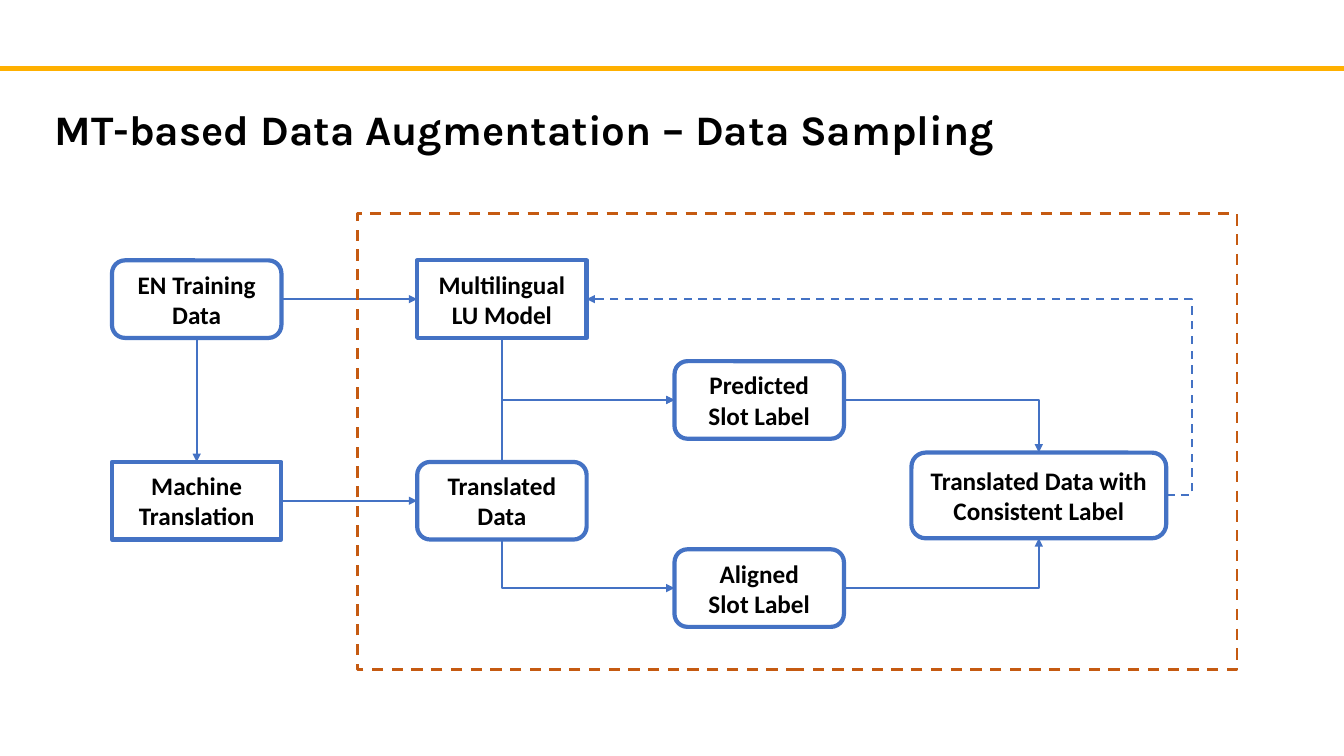
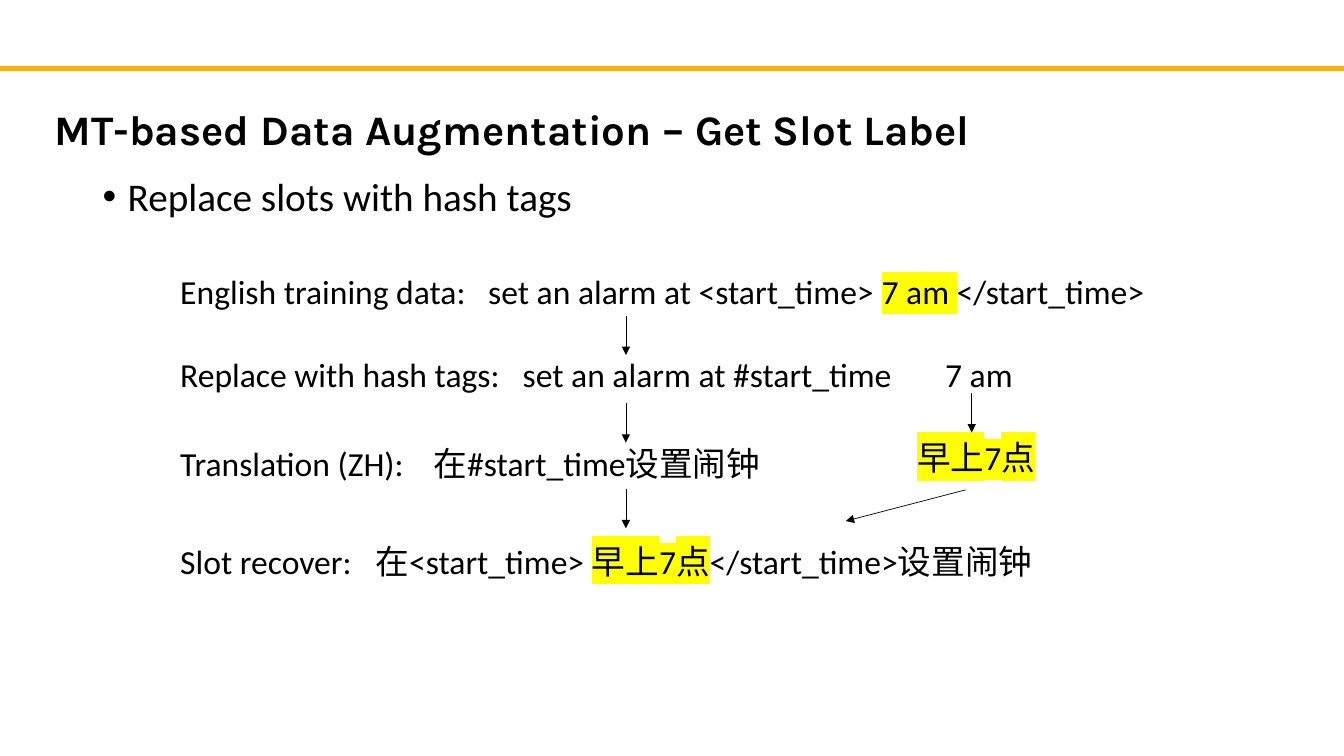
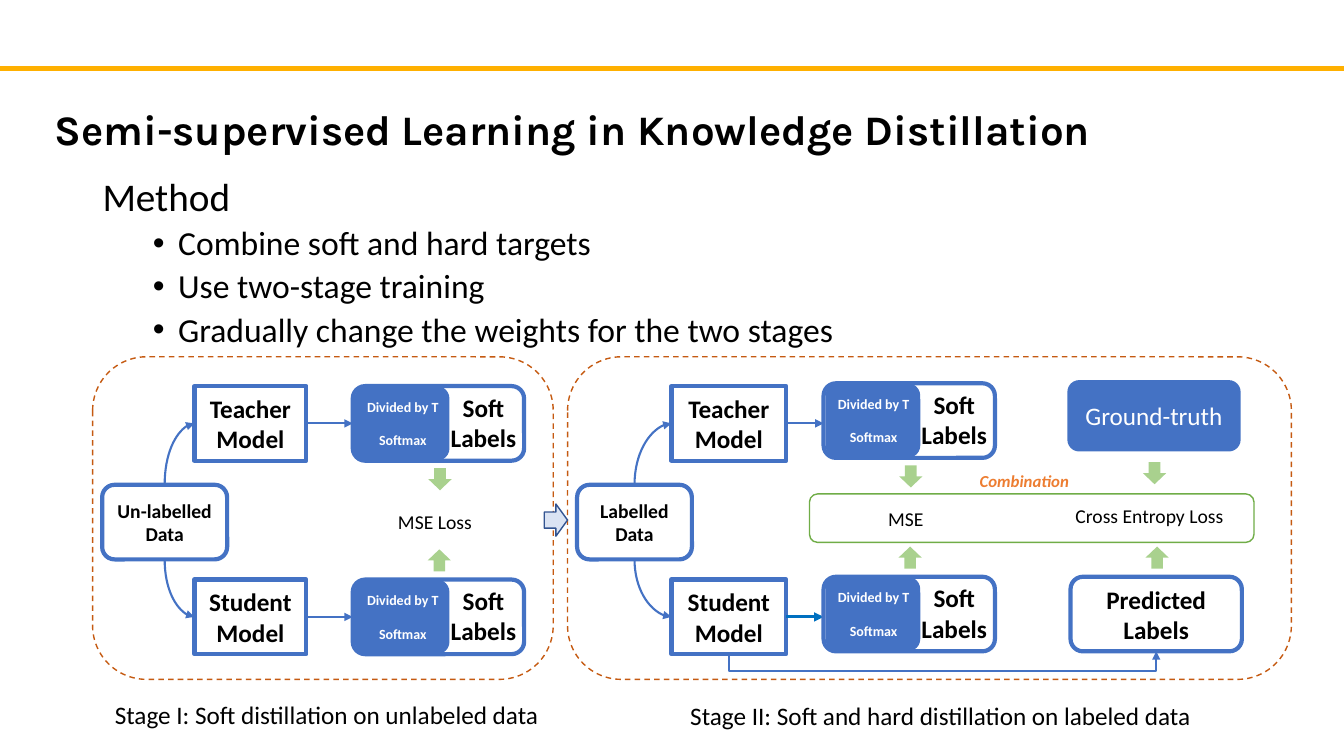
from dataclasses import dataclass

from lxml import etree
from pptx import Presentation
from pptx import util as u
from pptx.dml.color import RGBColor
from pptx.enum import dml, shapes, text
from pptx.oxml import ns

COLORS = {
    "bar": "FFB000", "ink": "000000", "paper": "FFFFFF", "blue": "4472C4",
    "strong": "0070C0", "rust": "C55A11", "orange": "ED7D31", "mark": "FFFF00",
    "leaf": "A9D18E", "green": "70AD47", "pale": "DAE3F3", "navy": "325491",
}
SHAPE = shapes.MSO_SHAPE
LEFT, CENTER = text.PP_ALIGN.LEFT, text.PP_ALIGN.CENTER
TOP, MIDDLE, BOTTOM = (text.MSO_ANCHOR.TOP, text.MSO_ANCHOR.MIDDLE,
                       text.MSO_ANCHOR.BOTTOM)


@dataclass
class Box:
    """A rectangle in points."""
    x: float
    y: float
    w: float
    h: float

    def at(self, dx, dy, w, h):
        """Return a box offset from this one's top left corner."""
        return Box(self.x + dx, self.y + dy, w, h)

    def point(self, across, down):
        """Return the point at the given fractions of width and height."""
        return self.x + self.w * across, self.y + self.h * down

    def lengths(self):
        """Return left, top, width and height as lengths."""
        return [u.Pt(value) for value in (self.x, self.y, self.w, self.h)]


def rgb(name):
    """Return the named colour."""
    return RGBColor.from_string(COLORS[name])


def write(frame, words, size=18, font="Calibri", color="ink", bold=False,
          italic=False, align=LEFT, anchor=TOP, spacing=None, before=0,
          bullet=False, indent=0, tabs=(), marked=None):
    """Append paragraphs, one per line, in the given format."""
    frame.word_wrap = True
    frame.vertical_anchor = anchor
    for line in words.split("\n"):
        para = frame.paragraphs[0]
        if para.runs:
            para = frame.add_paragraph()
        para.alignment = align
        para.space_before = u.Pt(before)
        if spacing:
            para.line_spacing = spacing
        props = para._p.get_or_add_pPr()
        if bullet:
            props.set("marL", str(u.Pt(indent)))
            props.set("indent", str(u.Pt(-18)))
            etree.SubElement(props, ns.qn("a:buFont"), typeface="Arial")
            etree.SubElement(props, ns.qn("a:buChar"), char="•")
        if tabs:
            stops = etree.SubElement(props, ns.qn("a:tabLst"))
            for stop in tabs:
                etree.SubElement(stops, ns.qn("a:tab"), pos=str(u.Pt(stop)), algn="l")
        for part in line.partition(marked) if marked else [line]:
            if not part:
                continue
            span = para.add_run()
            span.text = part
            span.font.size = u.Pt(size)
            span.font.bold = bold
            span.font.italic = italic
            span.font.color.rgb = rgb(color)
            if part == marked:
                glow = etree.SubElement(span._r.get_or_add_rPr(), ns.qn("a:highlight"))
                etree.SubElement(glow, ns.qn("a:srgbClr"), val=COLORS["mark"])
            span.font.name = font


def label(page, box, words, **style):
    """Add a text box and return its frame."""
    frame = page.shapes.add_textbox(*box.lengths()).text_frame
    write(frame, words, **style)
    return frame


def block(page, box, kind=SHAPE.ROUNDED_RECTANGLE, fill=None, line=None,
          width=3, dashed=False, turn=0, words="", **style):
    """Add a preset shape, with centred text if any."""
    shape = page.shapes.add_shape(kind, *box.lengths())
    shape.shadow.inherit = False
    shape.rotation = turn
    if fill:
        shape.fill.solid()
        shape.fill.fore_color.rgb = rgb(fill)
    else:
        shape.fill.background()
    if line:
        shape.line.color.rgb = rgb(line)
        shape.line.width = u.Pt(width)
        if dashed:
            shape.line.dash_style = dml.MSO_LINE.DASH
    else:
        shape.line.fill.background()
    if words:
        write(shape.text_frame, words, align=CENTER, anchor=MIDDLE, **style)


def node(page, box, words, kind=SHAPE.ROUNDED_RECTANGLE, size=18):
    """Add a blue outlined diagram node and return its box."""
    block(page, box, kind, line="blue", words=words, size=size, bold=True)
    return box


def link(page, start, end, preset="line", upright=False, bend=None,
         color="blue", width=1.5, dashed=False, arrow=True):
    """Connect two points; an upright link runs rightward, leaving vertically."""
    (x1, y1), (x2, y2) = start, end
    if upright:
        mid_x, mid_y = (x1 + x2) / 2, (y1 + y2) / 2
        half_w, half_h = abs(y2 - y1) / 2, abs(x2 - x1) / 2
        side = 1 if y2 < y1 else -1
        ends = (mid_x + half_w, mid_y + side * half_h,
                mid_x - half_w, mid_y - side * half_h)
    else:
        ends = (x1, y1, x2, y2)
    line = page.shapes.add_connector(shapes.MSO_CONNECTOR.STRAIGHT,
                                     *[u.Pt(value) for value in ends])
    props = line._element.spPr
    geometry = props.find(ns.qn("a:prstGeom"))
    geometry.set("prst", preset)
    if upright:
        angle = 90 if y2 < y1 else 270
        props.find(ns.qn("a:xfrm")).set("rot", str(angle * 60000))
    if bend is not None:
        guides = geometry.find(ns.qn("a:avLst"))
        if guides is None:
            guides = etree.SubElement(geometry, ns.qn("a:avLst"))
        etree.SubElement(guides, ns.qn("a:gd"), name="adj1",
                         fmla=f"val {round(bend * 100000)}")
    line.line.color.rgb = rgb(color)
    line.line.width = u.Pt(width)
    if dashed:
        line.line.dash_style = dml.MSO_LINE.DASH
    if arrow:
        etree.SubElement(line.line._get_or_add_ln(), ns.qn("a:tailEnd"), type="triangle")
    etree.SubElement(props, ns.qn("a:effectLst"))


def titled_page(deck, title):
    """Add a slide with the top bar and its title."""
    page = deck.slides.add_slide(deck.slide_layouts[5])
    link(page, (0, 49), (960, 49), color="bar", width=3, arrow=False)
    holder = page.shapes.title
    holder.left, holder.top, holder.width, holder.height = Box(
        31.7, 73.4, 812, 40.3).lengths()
    holder.text_frame.auto_size = text.MSO_AUTO_SIZE.NONE
    write(holder.text_frame, title, size=30, font="Karla", bold=True,
          anchor=BOTTOM, spacing=0.9)
    return page


def sampling_flow(page, box):
    """Draw the data sampling flow chart."""
    w, h = 121, 55.4
    rect = SHAPE.RECTANGLE
    training = node(page, box.at(0, 33.4, w, h), "EN Training Data")
    model = node(page, box.at(218, 33.4, w, h), "Multilingual LU Model", rect)
    translated = node(page, box.at(218, 177.4, w, h), "Translated\nData")
    predicted = node(page, box.at(401.8, 105.4, w, h), "Predicted Slot Label")
    aligned = node(page, box.at(401.8, 239.8, w, h), "Aligned\nSlot Label")
    consistent = node(page, box.at(571, 170.7, 182, 61.2),
                      "Translated Data with Consistent Label")
    machine = node(page, box.at(0, 177.4, w, h), "Machine Translation", rect)

    link(page, training.point(0.5, 1), machine.point(0.5, 0))
    link(page, machine.point(1, 0.5), translated.point(0, 0.5))
    link(page, training.point(1, 0.5), model.point(0, 0.5))
    for source, edge, target in ((model, 1, predicted), (translated, 0, predicted),
                                 (translated, 1, aligned)):
        link(page, source.point(0.5, edge), target.point(0, 0.5),
             "bentConnector2", upright=True)
    for source, edge in ((predicted, 0), (aligned, 1)):
        link(page, source.point(1, 0.5), consistent.point(0.5, edge), "bentConnector2")
    link(page, consistent.point(1, 0.5), model.point(1, 0.5),
         "bentConnector3", bend=-0.044, dashed=True)
    block(page, box.at(175.6, 0, 628, box.h), rect, line="rust", width=2, dashed=True)


def slot_steps(page, box):
    """Show the sentence at each step of slot replacement."""
    rows = (
        (0, "English training data:\tset an alarm at <start_time> 7 am </start_time>",
         (220,), "7 am "),
        (59, "Replace with hash tags:\tset an alarm at #start_time\t7 am",
         (244.6, 546.3), None),
        (123, "Translation (ZH):\t在#start_time设置闹钟", (181,), None),
        (193, "Slot recover:\t在<start_time> 早上7点</start_time>设置闹钟",
         (139.5,), "早上7点"),
    )
    for dy, words, tabs, marked in rows:
        width = 654 if dy == 193 else box.w
        label(page, box.at(0, dy, width, 36), words, size=24, tabs=tabs, marked=marked)
    label(page, box.at(526.3, 118.9, 116, 36), "早上7点", size=24, marked="早上7点")
    arrows = [((325.4, dy), (325.4, dy + 28.2)) for dy in (35.4, 98, 159.2)]
    arrows += [((572.4, 90.8), (572.4, 118.9)), ((568.1, 159.9), (482.4, 182.2))]
    for start, end in arrows:
        link(page, box.at(*start, 0, 0).point(0, 0), box.at(*end, 0, 0).point(0, 0),
             color="ink", width=0.5)


def soft_labels(page, box):
    """Draw a soft label block with its softmax part."""
    block(page, box, line="blue")
    block(page, box.at(1.4, 0, 67.7, box.h), fill="blue")
    label(page, box.at(56.2, 0.7, 74.2, 51), "Soft\nLabels", bold=True, align=CENTER)
    for dy, words in ((5, "Divided by T"), (29, "Softmax")):
        label(page, box.at(-1.4, dy, 74.2, 19.5), words, size=10, bold=True,
              color="paper", align=CENTER)


def loss(page, upper, lower, words):
    """Name the loss between two blocks, with an arrow from each."""
    label(page, upper.at(-18, 84.6, 153.4, 24.5), words, size=14, align=CENTER)
    for spot, turn in ((upper.at(54, 58.6, 16.6, 15.8), 0),
                       (lower.at(53.5, -21.6, 16.6, 15.8), 180)):
        block(page, spot, SHAPE.DOWN_ARROW, fill="leaf", turn=turn)


def stage(page, box, data_words, loss_words, data_w, model_x, model_w, soft_x,
          lift=0, student_line=None):
    """Draw one distillation stage; return its student and lower soft label boxes."""
    h = 53.3
    block(page, box, line="rust", width=1, dashed=True)
    data = node(page, box.at(6.8, 91.4, data_w, h), data_words, size=14)
    soft = []
    for words, dy, edge, style in (("Teacher\nModel", 20.9, 0, {}),
                                   ("Student\nModel", 159.1, 1, student_line or {})):
        model = node(page, box.at(model_x, dy, model_w, h), words, SHAPE.RECTANGLE)
        target = box.at(soft_x, dy - lift, 122.4, h)
        link(page, data.point(0.5, edge), model.point(0, 0.5),
             "curvedConnector2", upright=True)
        link(page, model.point(1, 0.5), (target.x, model.point(1, 0.5)[1]), **style)
        soft_labels(page, target)
        soft.append(target)
    loss(page, *soft, loss_words)
    return model, soft[1]


def hard_targets(page, box, student, soft):
    """Add the ground truth branch and the combined loss to a stage."""
    truth = box.at(357, 16.6, 123.8, 51)
    predicted = node(page, Box(box.x + 359.3, soft.y, soft.w, soft.h),
                     "Predicted\nLabels")
    loss(page, truth, predicted, "Cross Entropy Loss")
    start, end = student.point(0.5, 1), predicted.point(0.5, 1)
    link(page, start, end, "bentConnector3", upright=True,
         bend=-12.2 / (start[1] - end[1]))
    block(page, box.at(172.8, 97.9, 317.5, 34.6), line="green", width=1)
    label(page, box.at(287.3, 77.8, 96.5, 21.6), "Combination", size=12,
          color="orange", bold=True, italic=True)
    block(page, truth, fill="blue", words="Ground-truth", color="paper")


def distillation(page, box):
    """Draw both stages with their captions."""
    first = box.at(0, 0, 329, 230.4)
    second = box.at(339.2, 0, 517, 230.4)
    stage(page, first, "Un-labelled\nData", "MSE Loss", 89.3, 72.7, 80, 185.8)
    student, soft = stage(page, second, "Labelled\nData", "MSE", 82, 74.2, 82, 182.9,
                          lift=2, student_line={"color": "strong", "width": 2.25})
    hard_targets(page, second, student, soft)
    block(page, box.at(322.6, 105.1, 16.6, 23), SHAPE.RIGHT_ARROW, fill="pale",
          line="navy", width=1)
    label(page, first.at(8.7, 241.2, 328, 29),
          "Stage I: Soft distillation on unlabeled data")
    label(page, second.at(32.4, 241.9, 468, 29),
          "Stage II: Soft and hard distillation on labeled data", align=CENTER)


def main():
    """Build and save the deck."""
    deck = Presentation()
    deck.slide_width, deck.slide_height = u.Pt(960), u.Pt(540)
    body = Box(66.2, 123.1, 828, 363.6)
    heading = {"size": 28, "spacing": 0.9, "before": 10}

    page = titled_page(deck, "MT-based Data Augmentation – Data Sampling")
    sampling_flow(page, Box(80, 152.6, 803.6, 325.4))

    page = titled_page(deck, "MT-based Data Augmentation – Get Slot Label")
    label(page, body, "Replace slots with hash tags", bullet=True, indent=18, **heading)
    slot_steps(page, Box(121.7, 190, 748.8, 240))

    page = titled_page(deck, "Semi-supervised Learning in Knowledge Distillation")
    frame = label(page, body, "Method", **heading)
    write(frame, "Combine soft and hard targets\nUse two-stage training\n"
          "Gradually change the weights for the two stages",
          size=24, spacing=0.9, before=5, bullet=True, indent=54)
    distillation(page, Box(66.2, 254.9, 856.2, 271.3))

    deck.save("out.pptx")


main()
